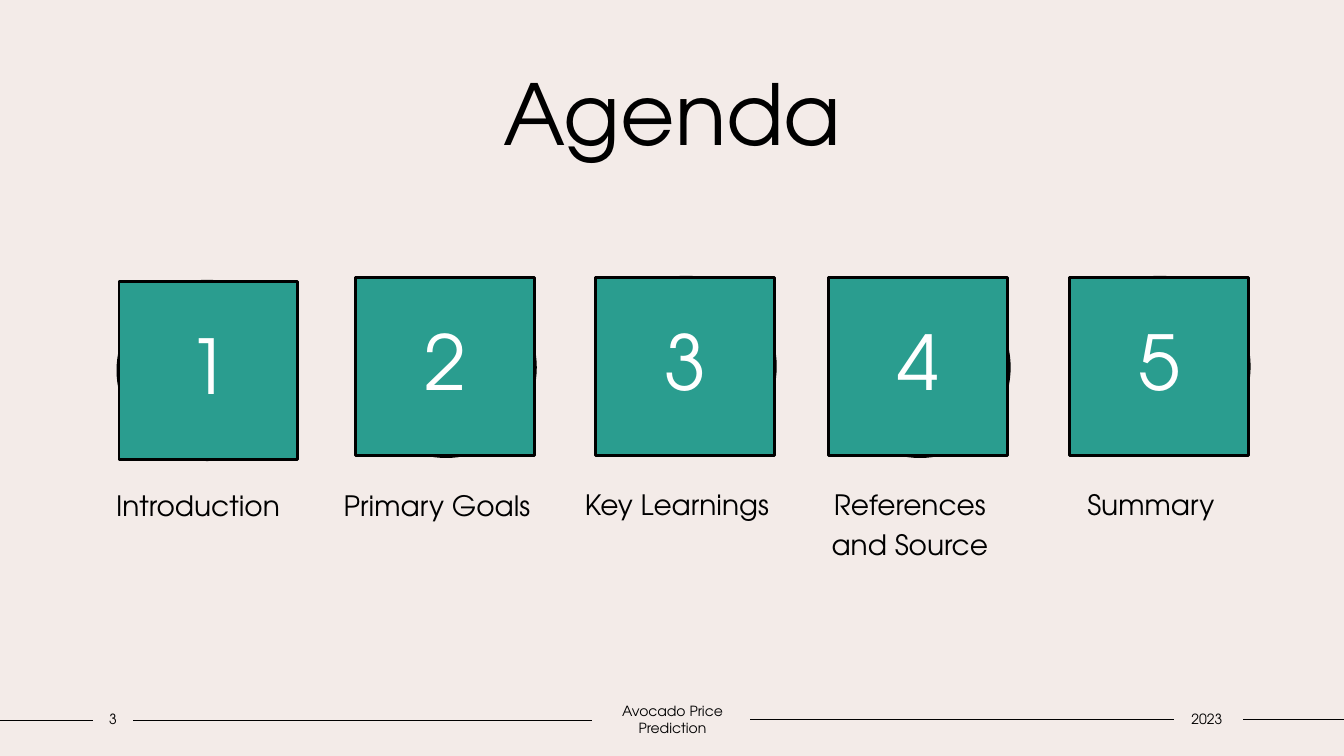
import pptx
import pptx.util
import pptx.dml.color
import pptx.enum.shapes
import pptx.enum.text
import lxml.etree
from dataclasses import dataclass

Inches = pptx.util.Inches
Shape = pptx.enum.shapes.MSO_SHAPE
Anchor = pptx.enum.text.MSO_ANCHOR


@dataclass(frozen=True)
class Theme:
    font: str = "TeX Gyre Adventor"
    background: str = "F3EBE8"
    ink: str = "000000"
    disc: str = "CEF2ED"
    tile: str = "2A9D8F"
    number: str = "FFFFFF"
    title_size: int = 60
    number_size: int = 54
    label_size: int = 20
    footer_size: int = 10
    outline: int = 2
    rule: int = 1


THEME = Theme()
TILE_SIDE = 1.77
LABEL_WIDTH = 2.13
FOOTER_HEIGHT = 0.27
AGENDA = [
    ("Introduction", (1.18, 2.79), (-0.01, 0), (-0.28, 1.94)),
    ("Primary Goals", (3.53, 2.75), (0.01, 0.01), (-0.26, 1.98)),
    ("Key Learnings", (5.91, 2.75), (0.01, 0), (-0.26, 1.97)),
    ("References and Source", (8.22, 2.75), (0.02, 0.01), (-0.26, 1.97)),
    ("Summary", (10.61, 2.75), (0.01, 0), (-0.26, 1.97)),
]


def rgb(value):
    return pptx.dml.color.RGBColor.from_string(value)


def write(frame, text, size, color, anchor=Anchor.TOP, side=0.1, spacing=None, before=None):
    frame.word_wrap = True
    frame.vertical_anchor = anchor
    frame.margin_left = frame.margin_right = Inches(side)
    frame.margin_top = frame.margin_bottom = Inches(0.05)
    paragraph = frame.paragraphs[0]
    paragraph.alignment = pptx.enum.text.PP_ALIGN.CENTER
    if spacing is not None:
        paragraph.line_spacing = spacing
    if before is not None:
        paragraph.space_before = pptx.util.Pt(before)
    run = paragraph.add_run()
    run.text = text
    run.font.name = THEME.font
    run.font.size = pptx.util.Pt(size)
    run.font.color.rgb = rgb(color)


def add_text(slide, box, *content, **layout):
    frame = slide.shapes.add_textbox(*map(Inches, box)).text_frame
    write(frame, *content, **layout)


def add_outlined(slide, kind, left, top, fill):
    outlined = slide.shapes.add_shape(kind, *map(Inches, (left, top, TILE_SIDE, TILE_SIDE)))
    outlined.shadow.inherit = False
    outlined.fill.solid()
    outlined.fill.fore_color.rgb = rgb(fill)
    outlined.line.color.rgb = rgb(THEME.ink)
    outlined.line.width = pptx.util.Pt(THEME.outline)
    return outlined


def add_rule(slide, start, end, y):
    rule = slide.shapes.add_connector(
        pptx.enum.shapes.MSO_CONNECTOR.STRAIGHT, *map(Inches, (start, y, end, y)))
    rule.line.color.rgb = rgb(THEME.ink)
    rule.line.width = pptx.util.Pt(THEME.rule)
    properties = rule._element.spPr
    lxml.etree.SubElement(properties, pptx.oxml.ns.qn("a:effectLst"))


def add_title(slide, box):
    add_text(slide, box, "Agenda", THEME.title_size, THEME.ink)


def add_agenda_item(slide, corner, number, label, disc_shift, label_shift):
    left, top = corner
    add_outlined(slide, Shape.OVAL, left + disc_shift[0], top + disc_shift[1], THEME.disc)
    tile = add_outlined(slide, Shape.RECTANGLE, left, top, THEME.tile)
    write(tile.text_frame, str(number), THEME.number_size, THEME.number,
          anchor=Anchor.MIDDLE, spacing=0.9, before=10)
    label_box = (left + label_shift[0], top + label_shift[1], LABEL_WIDTH, 0.69)
    add_text(slide, label_box, label, THEME.label_size, THEME.ink, spacing=1.2)


def add_footer(slide, left, top, width):
    for start, end, drop in [(0, 0.92, 0.15), (1.32, 5.87, 0.15),
                             (7.44, 11.64, 0.14), (12.33, width, 0.14)]:
        add_rule(slide, left + start, left + end, top + drop)
    for text, offset, span in [("2023", 11.62, 0.7),
                               ("Avocado Price Prediction", 5.87, 1.6),
                               ("3", 0.92, 0.4)]:
        add_text(slide, (left + offset, top, span, FOOTER_HEIGHT), text,
                 THEME.footer_size, THEME.ink, anchor=Anchor.MIDDLE, side=0)


def main():
    deck = pptx.Presentation()
    deck.slide_width, deck.slide_height = Inches(13.33), Inches(7.5)
    slide = deck.slides.add_slide(deck.slide_layouts[6])
    slide.background.fill.solid()
    slide.background.fill.fore_color.rgb = rgb(THEME.background)
    add_footer(slide, 0, 7, 13.33)
    add_title(slide, (1.25, 0.56, 10.84, 1.11))
    for number, (label, corner, disc_shift, label_shift) in enumerate(AGENDA, 1):
        add_agenda_item(slide, corner, number, label, disc_shift, label_shift)
    deck.save("out.pptx")


if __name__ == "__main__":
    main()
